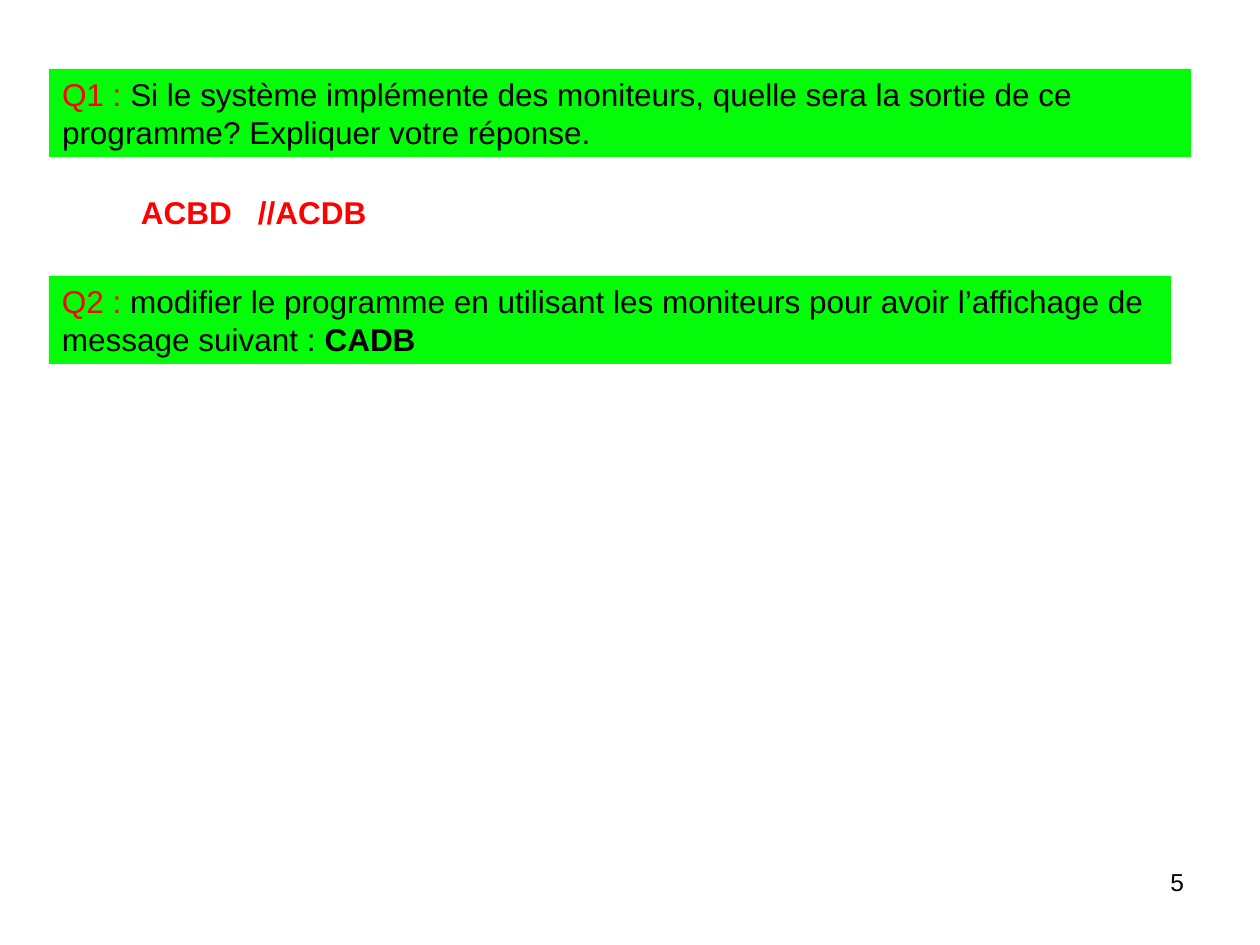
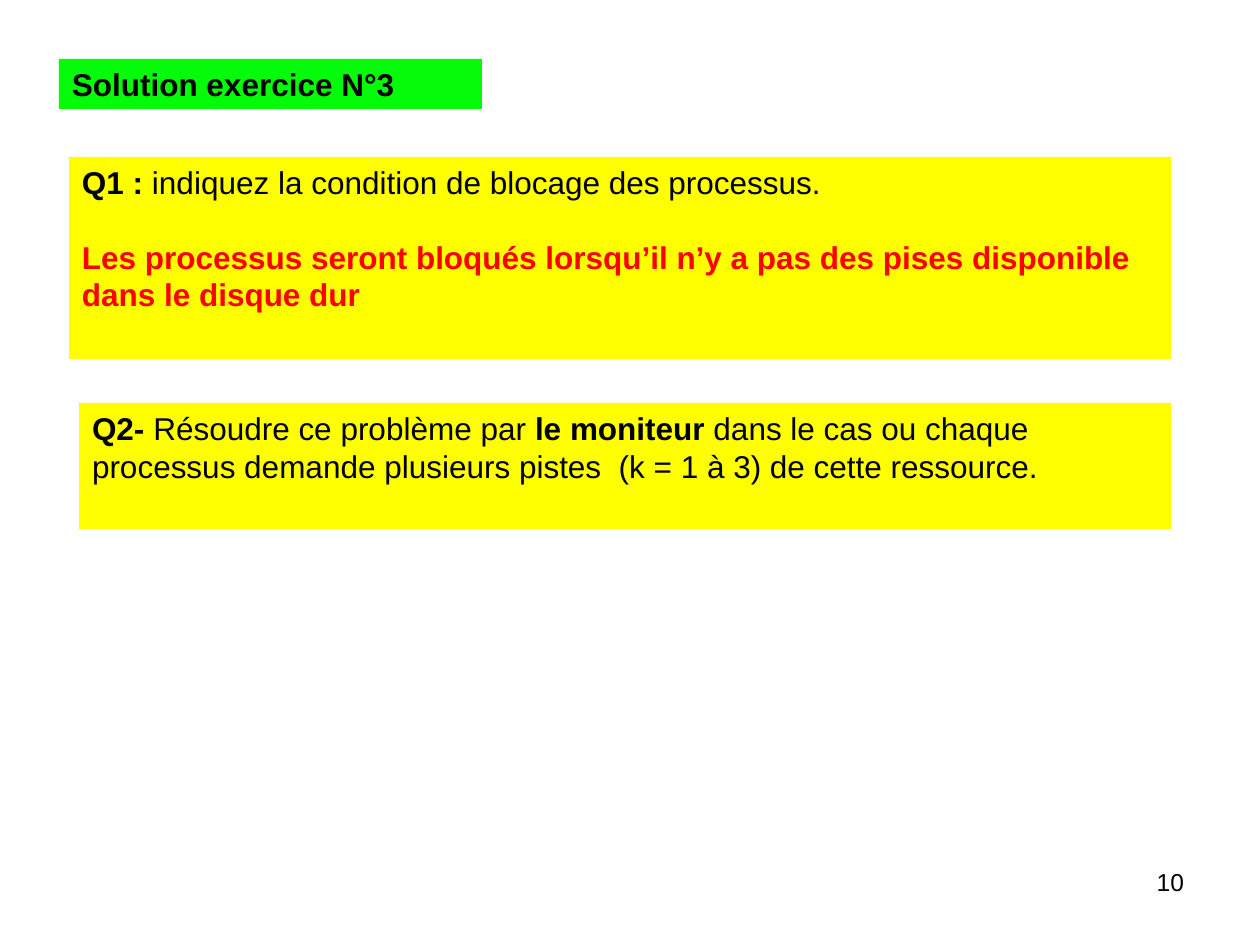
from lxml import etree
from pptx import Presentation
from pptx.dml.color import RGBColor
from pptx.enum.shapes import MSO_SHAPE
from pptx.enum.text import MSO_ANCHOR, PP_ALIGN
from pptx.oxml.ns import qn
from pptx.util import Emu, Pt

RECTANGLE = MSO_SHAPE.RECTANGLE
TOP = MSO_ANCHOR.TOP
LEFT, RIGHT = PP_ALIGN.LEFT, PP_ALIGN.RIGHT

PX_PER_INCH = 126
PAGE_SIZE = (1260, 945)
NUMBER_AREA = (903, 861, 294, 65)
INSET_X, INSET_Y = 13, 6
FONT = "Arial"
TEXT_SIZE, NUMBER_SIZE = 18, 14
ANSWER_GAP = 21
BLACK, RED, GREEN, YELLOW = "000000", "FF0000", "04FC0A", "FFFF00"

PAGES = [
    {
        "number": "5",
        "boxes": [
            {"area": (49, 69, 1142, 88), "fill": GREEN, "paragraphs": [
                [("Q1 :", RED, False),
                 (" Si le système implémente des moniteurs, quelle sera la sortie de ce "
                  "programme? Expliquer votre réponse.", BLACK, False)]]},
            {"area": (49, 276, 1122, 88), "fill": GREEN, "paragraphs": [
                [("Q2 :", RED, False),
                 (" modifier le programme en utilisant les moniteurs pour avoir "
                  "l’affichage de message suivant : ", BLACK, False),
                 ("CADB", BLACK, True)]]},
            {"area": (128, 187, 354, 50), "tab": 117, "paragraphs": [
                [("ACBD\t//ACDB", RED, True)]]},
        ],
    },
    {
        "number": "10",
        "boxes": [
            {"area": (59, 59, 423, 50), "fill": GREEN, "paragraphs": [
                [("Solution exercice N°3", BLACK, True)]]},
            {"area": (69, 157, 1102, 202), "fill": YELLOW, "paragraphs": [
                [("Q1 :", BLACK, True),
                 (" indiquez la condition de blocage des processus.", BLACK, False)],
                [("Les processus seront bloqués lorsqu’il n’y a pas des pises "
                  "disponible dans le disque dur", RED, True)]]},
            {"area": (79, 403, 1092, 126), "fill": YELLOW, "paragraphs": [
                [("Q2-", BLACK, True),
                 (" Résoudre ce problème par ", BLACK, False),
                 ("le moniteur", BLACK, True),
                 (" dans le cas ou chaque processus demande plusieurs pistes  "
                  "(k = 1 à 3) de cette ressource.", BLACK, False)]]},
        ],
    },
]


def px(length):
    return Emu(round(length * 914400 / PX_PER_INCH))


def color(value):
    return RGBColor.from_string(value)


def add_tab(para, position):
    tabs = etree.SubElement(para._p.get_or_add_pPr(), qn("a:tabLst"))
    etree.SubElement(tabs, qn("a:tab"), pos=str(px(position)), algn="l")


def add_box(page, area, paragraphs, fill=None, tab=None, size=TEXT_SIZE, align=LEFT):
    place = [px(length) for length in area]
    if fill:
        box = page.shapes.add_shape(RECTANGLE, *place)
        box.shadow.inherit = False
        box.fill.solid()
        box.fill.fore_color.rgb = color(fill)
        box.line.fill.background()
    else:
        box = page.shapes.add_textbox(*place)
    frame = box.text_frame
    frame.word_wrap = True
    frame.vertical_anchor = TOP
    frame.margin_left = frame.margin_right = px(INSET_X)
    frame.margin_top = frame.margin_bottom = px(INSET_Y)
    for index, spans in enumerate(paragraphs):
        para = frame.add_paragraph() if index else frame.paragraphs[0]
        para.alignment = align
        if index:
            para.space_before = Pt(ANSWER_GAP)
        if tab:
            add_tab(para, tab)
        para.font.name = FONT
        para.font.size = Pt(size)
        for text, text_color, bold in spans:
            span = para.add_run()
            span.text = text
            span.font.bold = bold
            span.font.color.rgb = color(text_color)


def main():
    deck = Presentation()
    deck.slide_width, deck.slide_height = map(px, PAGE_SIZE)
    blank = deck.slide_layouts[6]
    for content in PAGES:
        page = deck.slides.add_slide(blank)
        number = [[(content["number"], BLACK, False)]]
        add_box(page, NUMBER_AREA, number, size=NUMBER_SIZE, align=RIGHT)
        for box in content["boxes"]:
            add_box(page, **box)
    deck.save("out.pptx")


if __name__ == "__main__":
    main()
